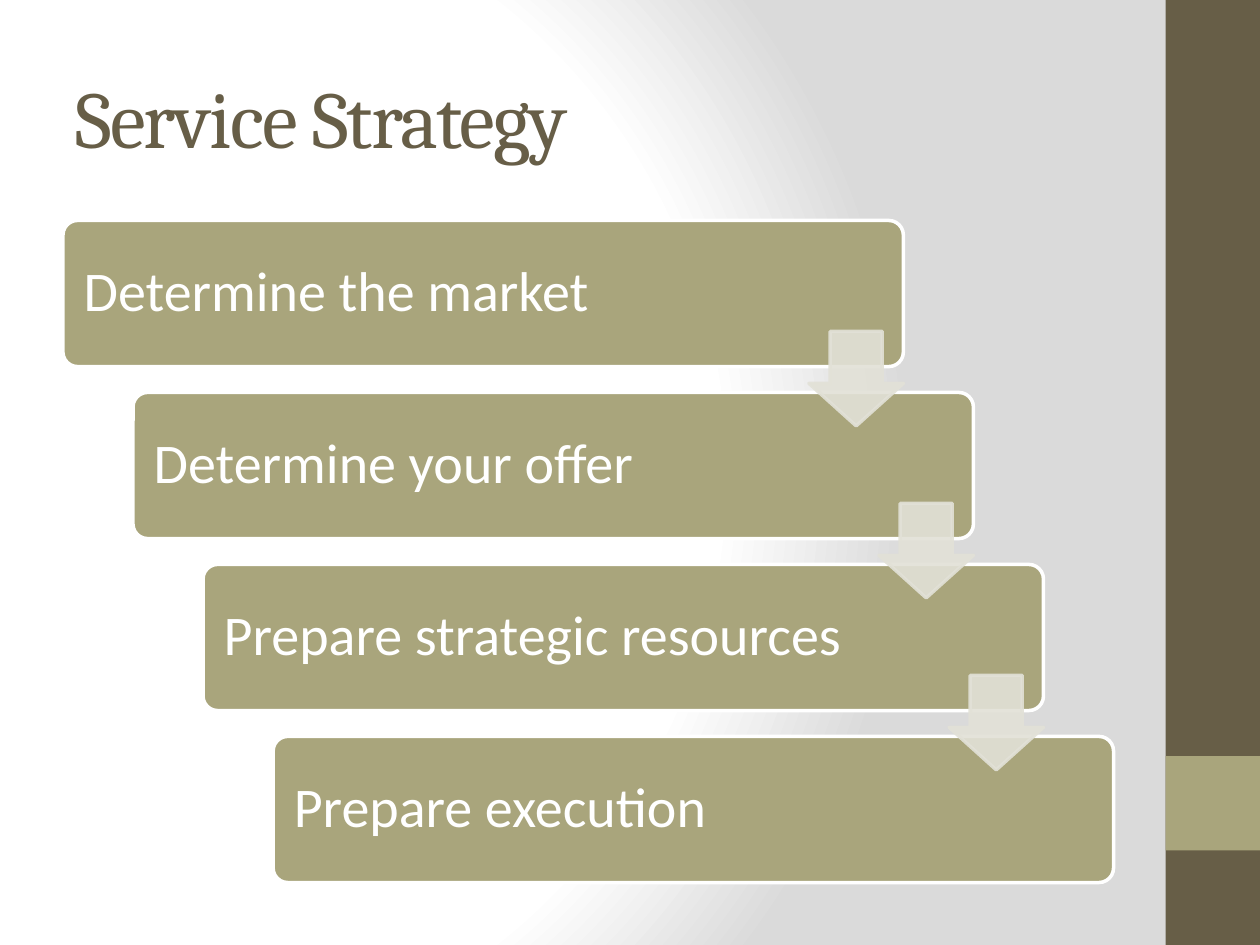
from lxml import etree
from pptx import Presentation
from pptx.dml.color import RGBColor
from pptx.enum.shapes import MSO_SHAPE
from pptx.enum.text import MSO_ANCHOR, PP_ALIGN
from pptx.oxml import parse_xml
from pptx.oxml.ns import qn
from pptx.util import Inches, Pt

RECT = MSO_SHAPE.RECTANGLE
ROUNDED = MSO_SHAPE.ROUNDED_RECTANGLE
DOWN_ARROW = MSO_SHAPE.DOWN_ARROW
MIDDLE = MSO_ANCHOR.MIDDLE
LEFT = PP_ALIGN.LEFT

BROWN, OLIVE, PALE, WHITE = "675E47", "A9A57C", "E2E1D7", "FFFFFF"


def rgb(value):
    return RGBColor.from_string(value)


def add_shape(kind, x, y, w, h, fill, line=None):
    sp = s.shapes.add_shape(kind, Inches(x), Inches(y), Inches(w), Inches(h))
    sp.shadow.inherit = False
    sp.fill.solid()
    sp.fill.fore_color.rgb = rgb(fill)
    if line:
        sp.line.color.rgb = rgb(line)
        sp.line.width = Pt(2)
    else:
        sp.line.fill.background()
    return sp


prs = Presentation()
prs.slide_width, prs.slide_height = Inches(10), Inches(7.5)
s = prs.slides.add_slide(prs.slide_layouts[6])

# Background: radial gradient from white to grey
stops = "".join(
    f'<a:gs pos="{pos * 1000}"><a:srgbClr val="{color}"/></a:gs>'
    for pos, color in [(0, WHITE), (75, WHITE), (100, "DADADA")]
)
bg = parse_xml(
    '<p:bg xmlns:p="http://schemas.openxmlformats.org/presentationml/2006/main"'
    ' xmlns:a="http://schemas.openxmlformats.org/drawingml/2006/main">'
    f'<p:bgPr><a:gradFill rotWithShape="1"><a:gsLst>{stops}</a:gsLst>'
    '<a:path path="circle">'
    '<a:fillToRect l="20000" t="50000" r="100000" b="50000"/></a:path>'
    '</a:gradFill><a:effectLst/></p:bgPr></p:bg>'
)
s.element.cSld.insert(0, bg)

# Side band
add_shape(RECT, 9.25, 0, 0.75, 7.5, BROWN)
add_shape(RECT, 9.25, 6, 0.75, 0.75, OLIVE)

# Title
title = s.shapes.add_textbox(Inches(0.5), Inches(0.3), Inches(8.33), Inches(1.25))
tf = title.text_frame
tf.word_wrap = True
tf.vertical_anchor = MIDDLE
r = tf.paragraphs[0].add_run()
r.text = "Service Strategy"
r.font.name = "Cambria"
r.font.size = Pt(46)
r.font.color.rgb = rgb(BROWN)
r.font._element.set("spc", "-100")

# Staircase of steps
steps = [
    "Determine the market",
    "Determine your offer",
    "Prepare strategic resources",
    "Prepare execution",
]
box_x, box_y, box_w, box_h = 0.5, 1.75, 6.67, 1.16
step_x, step_y = 0.556, 1.365
for i, step in enumerate(steps):
    box = add_shape(ROUNDED, box_x + i * step_x, box_y + i * step_y,
                    box_w, box_h, OLIVE, WHITE)
    box.adjustments[0] = 0.1
    tf = box.text_frame
    tf.word_wrap = True
    tf.vertical_anchor = MIDDLE
    tf.margin_left = tf.margin_top = tf.margin_bottom = Inches(0.13)
    tf.margin_right = Inches(1.2)
    p = tf.paragraphs[0]
    p.alignment = LEFT
    p.line_spacing = 0.9
    r = p.add_run()
    r.text = step
    r.font.name = "Calibri"
    r.font.size = Pt(32)
    r.font.color.rgb = rgb(WHITE)

# Arrows between steps, flush with the right edge of the upper box
arrow = 0.75
for i in range(len(steps) - 1):
    sp = add_shape(DOWN_ARROW, box_x + box_w - arrow + i * step_x,
                   box_y + 0.88 + i * step_y, arrow, arrow, PALE, PALE)
    sp.adjustments[0] = 0.55
    sp.adjustments[1] = 0.45
    for color in sp._element.spPr.iter(qn("a:srgbClr")):
        etree.SubElement(color, qn("a:alpha")).set("val", "90000")

prs.save("out.pptx")
